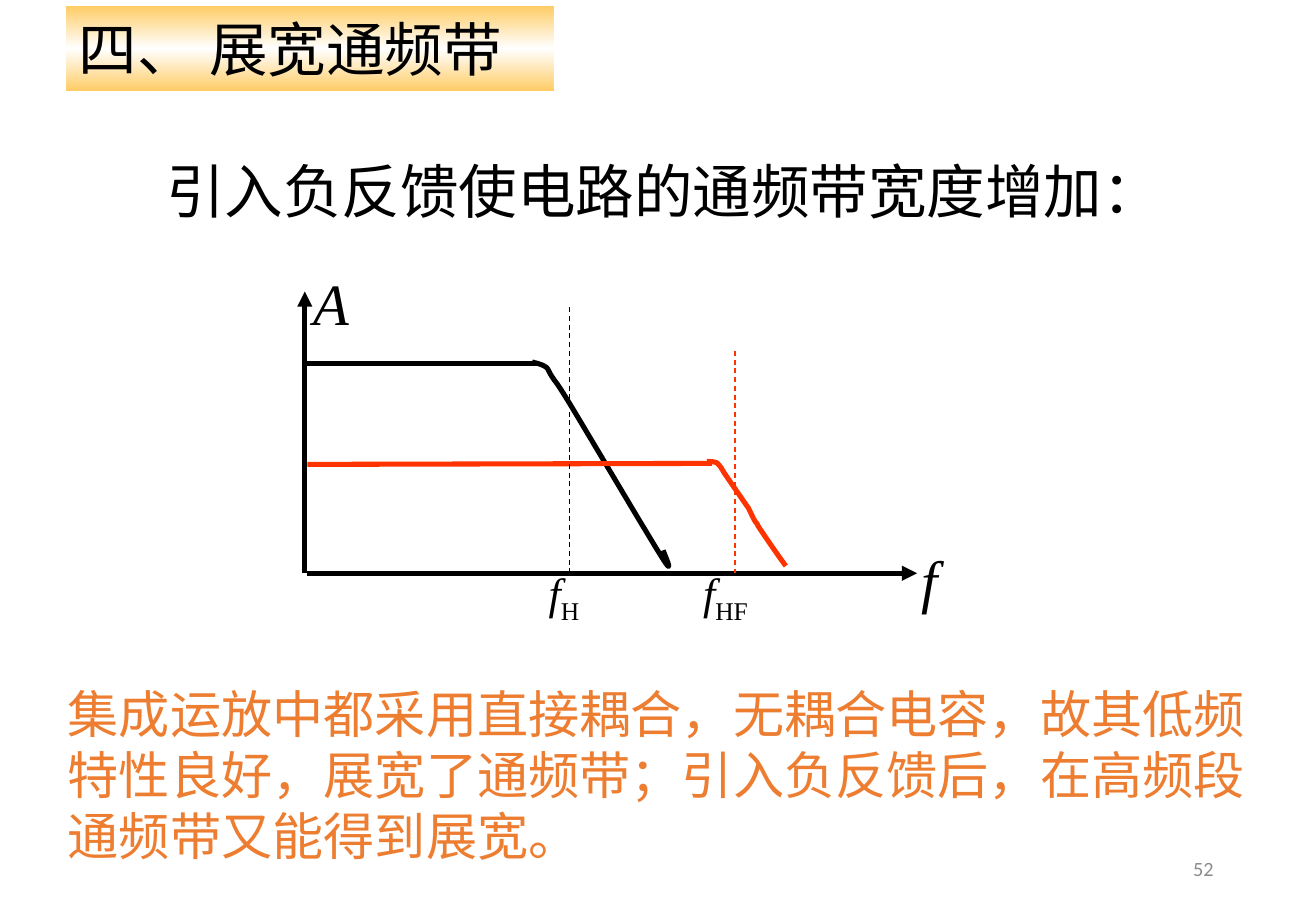
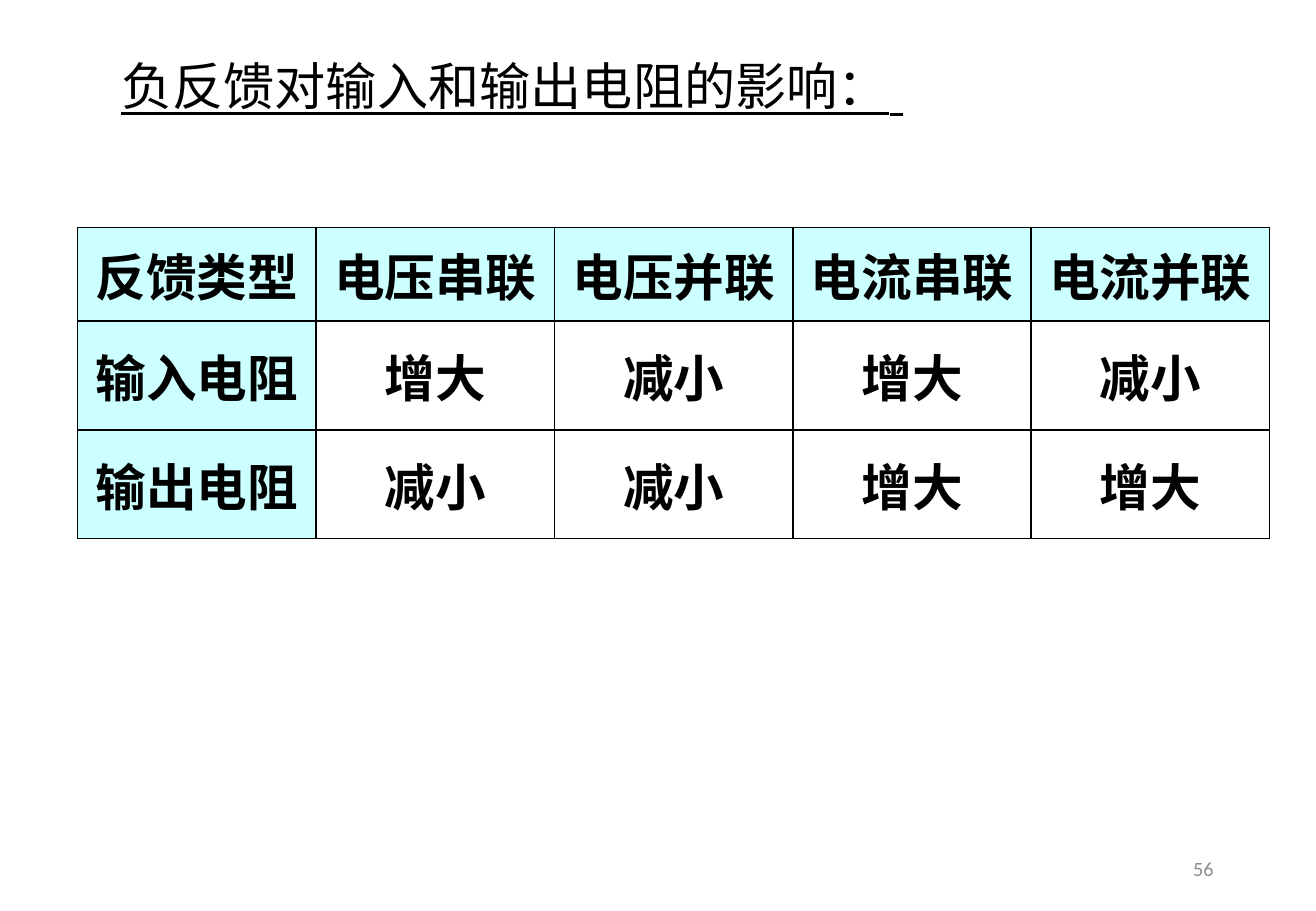
import copy

import pptx
import pptx.chart.data
import pptx.dml.color
import pptx.enum.dml
import pptx.enum.shapes
import pptx.enum.text
import pptx.oxml
import pptx.oxml.ns
import pptx.util
from lxml import etree

Pt = pptx.util.Pt
RGB = pptx.dml.color.RGBColor.from_string
qn = pptx.oxml.ns.qn
PP_ALIGN = pptx.enum.text.PP_ALIGN
MIDDLE = pptx.enum.text.MSO_ANCHOR.MIDDLE

COLORS = {"ink": "000000", "red": "FF3300", "orange": "ED7D31", "gray": "8C8C8C",
          "gold": "FFCC66", "white": "FFFFFF", "cyan": "CCFFFF"}
SERIF = "Times New Roman"


def write(tf, text, size, color="ink", font=SERIF, align=PP_ALIGN.LEFT):
    tf.text = text
    p = tf.paragraphs[0]
    p.alignment = align
    r = p.runs[0]
    r.font.name = font
    r.font.size = Pt(size)
    r.font.color.rgb = RGB(COLORS[color])
    return p


def add_text(s, box, text, size, color="ink", font=SERIF, align=PP_ALIGN.LEFT, inset=(7.2, 3.6)):
    tf = s.shapes.add_textbox(*[Pt(v) for v in box]).text_frame
    tf.word_wrap = True
    tf.margin_left = tf.margin_right = Pt(inset[0])
    tf.margin_top = tf.margin_bottom = Pt(inset[1])
    write(tf, text, size, color, font, align)
    return tf


prs = pptx.Presentation()
prs.slide_width, prs.slide_height = Pt(780), Pt(540)
slides = []
for number in ("52", "56"):
    s = prs.slides.add_slide(prs.slide_layouts[6])
    tf = add_text(s, (550.8, 500.4, 175.7, 28.8), number, 12, "gray", "Calibri", PP_ALIGN.RIGHT)
    tf.vertical_anchor = MIDDLE
    slides.append(s)
bandwidth, resistance = slides

WIDE = (7.8, 4)
s = bandwidth
banner = s.shapes.add_shape(pptx.enum.shapes.MSO_SHAPE.RECTANGLE, Pt(39), Pt(3.6), Pt(289.5), Pt(50.4))
banner.shadow.inherit = False
banner.line.fill.background()
banner.fill.gradient()
banner.fill.gradient_angle = 90
stop_list = next(banner.element.iter(qn("a:gsLst")))
stop_list.append(copy.deepcopy(stop_list[0]))
for stop, position, color in zip(banner.fill.gradient_stops, (0, 0.5, 1), ("gold", "white", "gold")):
    stop.position = position
    stop.color.rgb = RGB(COLORS[color])
tf = banner.text_frame
tf.margin_left = tf.margin_right = Pt(WIDE[0])
tf.margin_top = tf.margin_bottom = Pt(WIDE[1])
write(tf, "四、 展宽通频带", 34.7)

tf = add_text(s, (90.7, 87.8, 612, 50.4), "引入负反馈使电路的通频带宽度增加：", 34.7, inset=WIDE)
tf.word_wrap = False

curves = [
    ("ink", (315.4, 214.6), [
        ((318.2, 215.3), (321.1, 216), (323.3, 217.4)),
        ((325.4, 218.9), (324.7, 219.6), (327.6, 223.9)),
        ((330.5, 228.2), (329.8, 226.1), (340.6, 244.1)),
        ((351.4, 262.1), (383.8, 316.8), (392.4, 330.5)),
        ((401, 344.2), (393.1, 326.9), (393.1, 326.2))]),
    ("red", (419, 273.6), [
        ((421.2, 273.6), (422.6, 273.6), (424.8, 274.3)),
        ((426.2, 275.8), (426.2, 275), (429.1, 280.1)),
        ((432, 284.4), (439.9, 295.9), (443.5, 301)),
        ((446.4, 306.7), (447.1, 308.9), (448.6, 310.3)),
        ((450, 312.5), (447.8, 309.6), (450.7, 313.9)),
        ((453.6, 318.2), (463, 331.9), (465.8, 335.5))]),
]
STEPS = 10
for color, start, segments in curves:
    builder = s.shapes.build_freeform(Pt(start[0]), Pt(start[1]))
    points = []
    a = start
    for b, c, d in segments:
        for i in range(1, STEPS + 1):
            t = i / STEPS
            u = 1 - t
            points.append([Pt(u**3 * a[k] + 3 * u * u * t * b[k] + 3 * u * t * t * c[k] + t**3 * d[k])
                           for k in (0, 1)])
        a = d
    builder.add_line_segments(points, close=False)
    curve = builder.convert_to_shape()
    curve.shadow.inherit = False
    curve.fill.background()
    curve.line.color.rgb = RGB(COLORS[color])
    curve.line.width = Pt(3)

lines = [
    ((182.2, 215.3), (318.2, 215.3), "ink", "solid"),
    ((182.2, 275.3), (421.9, 274.7), "red", "solid"),
    ((180.7, 172.8), (180.7, 339.8), "ink", "arrow"),
    ((543.6, 339.8), (182.2, 339.8), "ink", "arrow"),
    ((337.7, 182.2), (337.7, 339.8), "ink", "dash"),
    ((435.6, 208.1), (435.6, 339.8), "red", "dash"),
]
for start, end, color, style in lines:
    line = s.shapes.add_connector(pptx.enum.shapes.MSO_CONNECTOR.STRAIGHT, *[Pt(v) for v in start + end])
    line.line.color.rgb = RGB(COLORS[color])
    line.line.width = Pt(0.75 if style == "dash" else 3)
    if style == "dash":
        line.line.dash_style = pptx.enum.dml.MSO_LINE.DASH
    if style == "arrow":
        etree.SubElement(line.line._get_or_add_ln(), qn("a:headEnd"), type="triangle")
    etree.SubElement(line.element.spPr, qn("a:effectLst"))

labels = [
    ((539.3, 319, 71.3, 49), "f", "", 34.7),
    ((178.6, 154.8, 76.3, 49), "A", "", 34.7),
    ((409.7, 331.9, 67, 38.9), "f", "HF", 26),
    ((318.2, 331.9, 67, 38.9), "f", "H", 26),
]
for box, symbol, subscript, size in labels:
    p = add_text(s, box, symbol, size).paragraphs[0]
    p.runs[0].font.italic = True
    if subscript:
        r = p.add_run()
        r.text = subscript
        r.font.name = SERIF
        r.font.size = Pt(size)
        r.font.color.rgb = RGB(COLORS["ink"])
        r.font._element.set("baseline", "-25000")

add_text(s, (32.4, 400.3, 721.4, 118),
         "集成运放中都采用直接耦合，无耦合电容，故其低频特性良好，展宽了通频带；引入负反馈后，在高频段通频带又能得到展宽。",
         30.3, "orange", inset=WIDE)

s = resistance
p = add_text(s, (64.8, 24.5, 575.3, 49), "负反馈对输入和输出电阻的影响：", 30.3).paragraphs[0]
r = p.add_run()
r.text = " "
r.font.name = SERIF
r.font.size = Pt(34.7)
for r in p.runs:
    r.font.underline = True

rows = [
    ["反馈类型", "电压串联", "电压并联", "电流串联", "电流并联"],
    ["输入电阻", "增大", "减小", "增大", "减小"],
    ["输出电阻", "减小", "减小", "增大", "增大"],
]
heights = (55.6, 64.6, 64.3)
table = s.shapes.add_table(3, 5, Pt(46.1), Pt(134.8), Pt(706.5), Pt(sum(heights))).table
table.first_row = table.horz_banding = False
for column in table.columns:
    column.width = Pt(141.3)
for i, row in enumerate(rows):
    table.rows[i].height = Pt(heights[i])
    for j, text in enumerate(row):
        cell = table.cell(i, j)
        cell.vertical_anchor = MIDDLE
        cell.margin_left = cell.margin_right = Pt(7.8)
        cell.margin_top = cell.margin_bottom = Pt(3.9)
        p = write(cell.text_frame, text, 30, align=PP_ALIGN.CENTER)
        p.runs[0].font.bold = True
        tc_pr = cell._tc.get_or_add_tcPr()
        for side in ("lnL", "lnR", "lnT", "lnB"):
            border = etree.SubElement(tc_pr, qn("a:" + side), w=str(Pt(1)))
            fill = etree.SubElement(border, qn("a:solidFill"))
            etree.SubElement(fill, qn("a:srgbClr"), val=COLORS["ink"])
        if i == 0 or j == 0:
            cell.fill.solid()
            cell.fill.fore_color.rgb = RGB(COLORS["cyan"])
        else:
            cell.fill.background()

prs.save("out.pptx")
